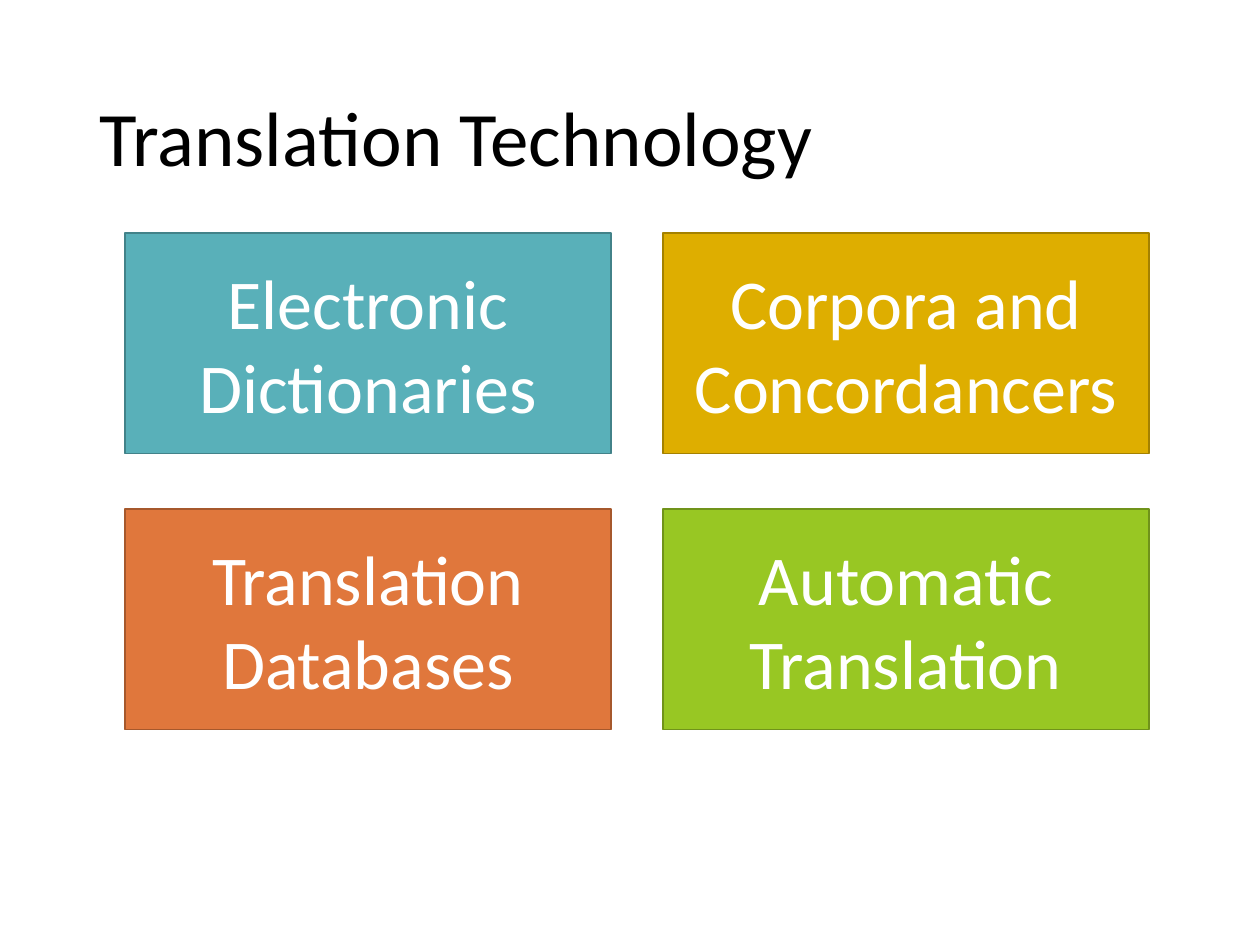
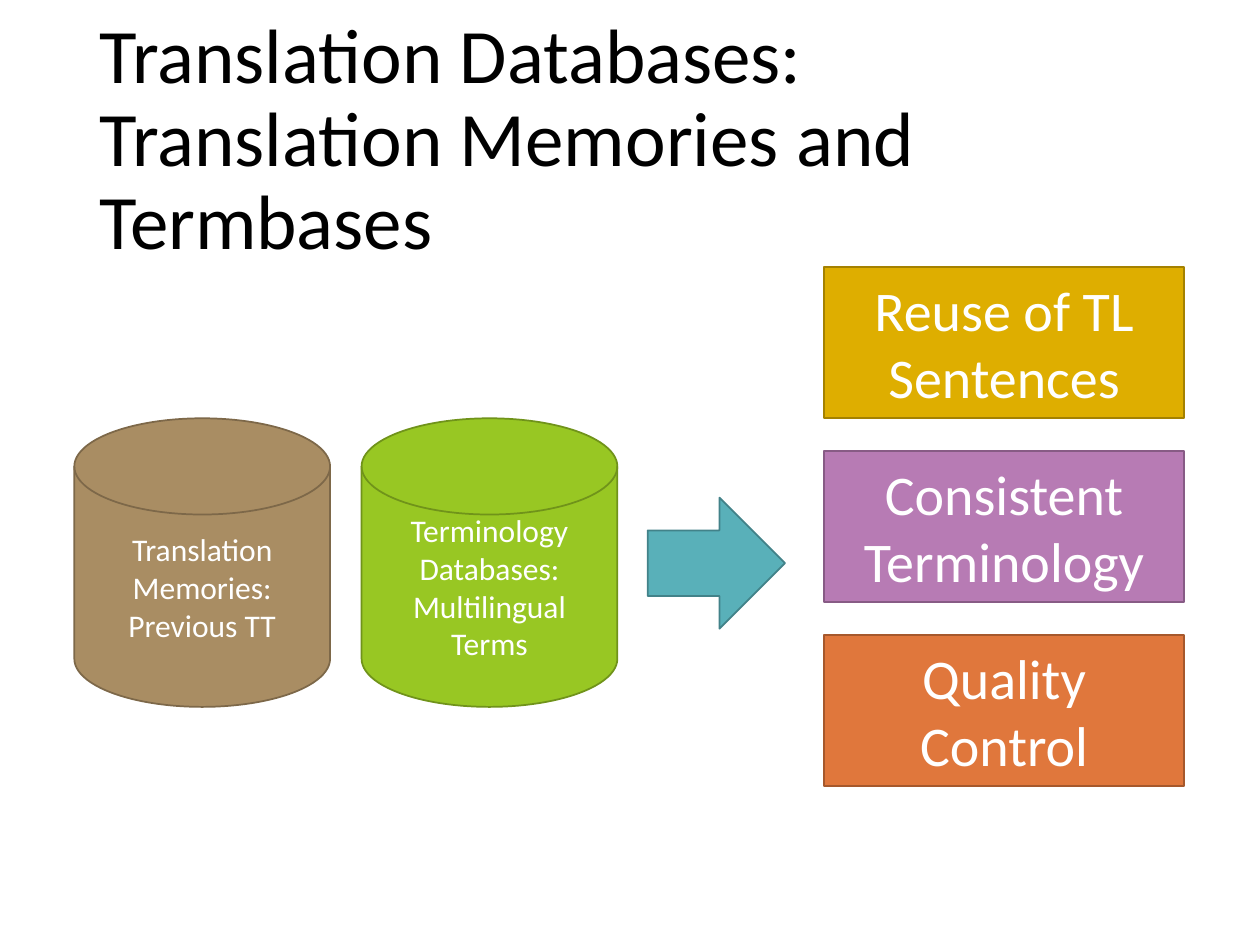
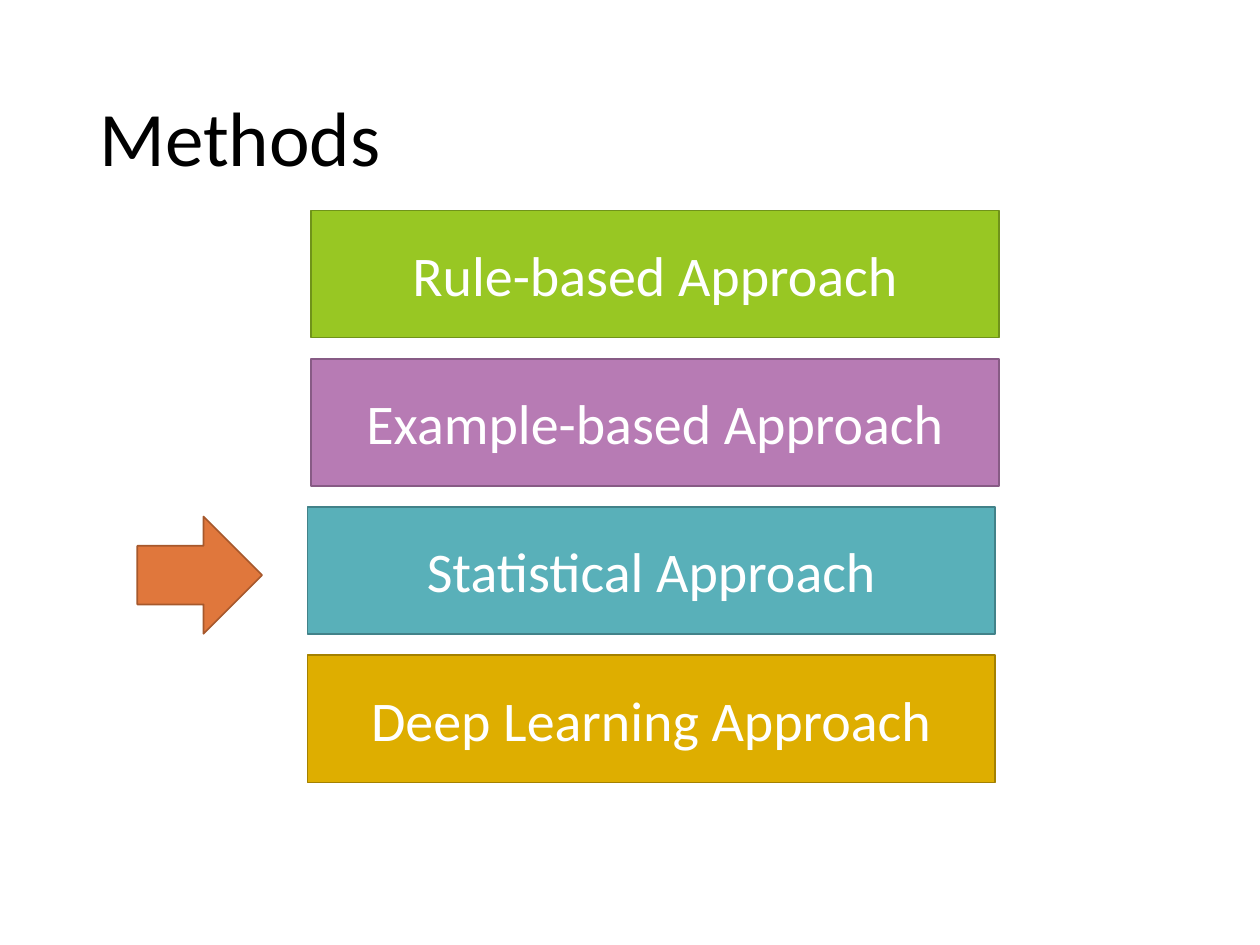
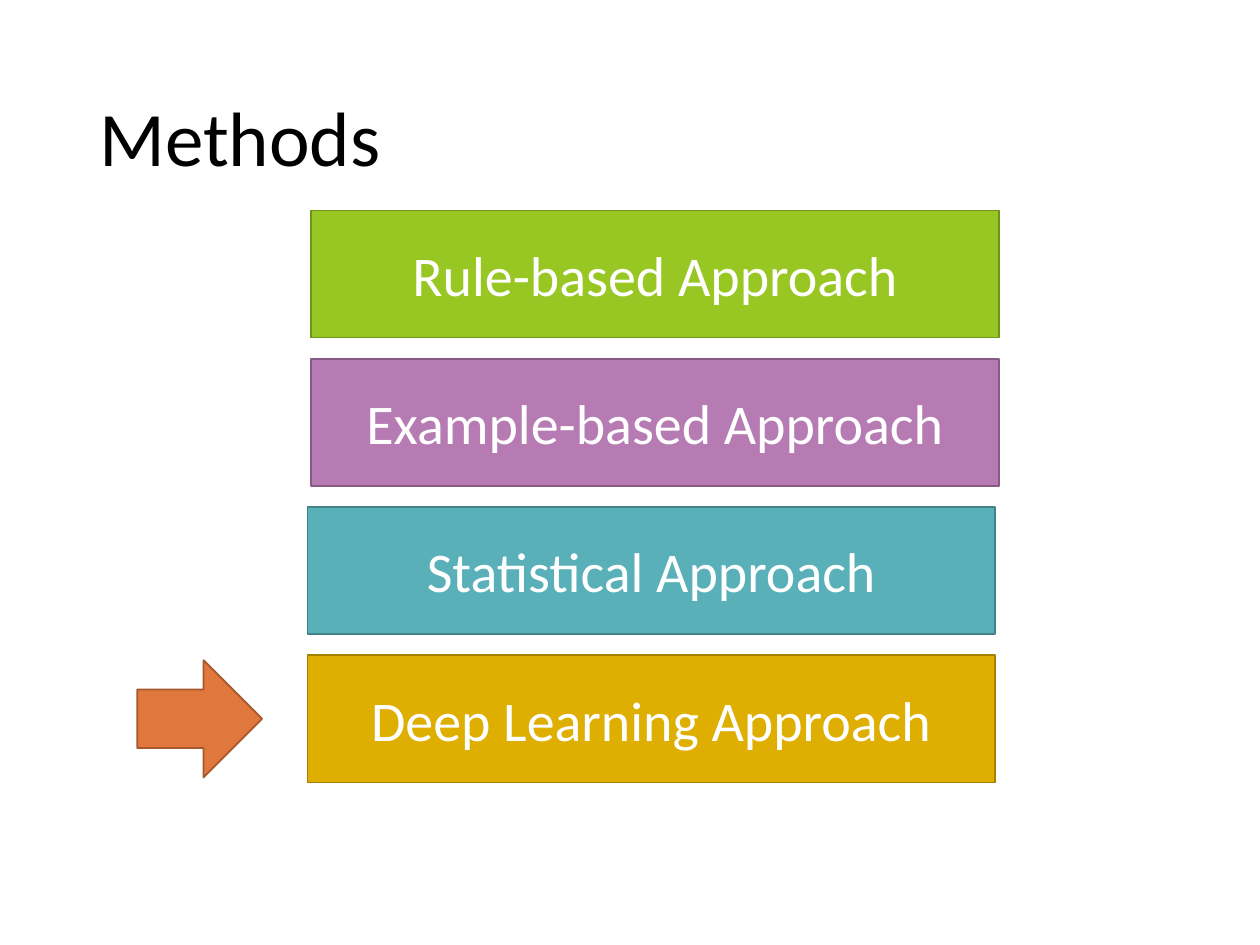
from dataclasses import dataclass
from pptx import Presentation
from pptx.dml.color import RGBColor
from pptx.enum.shapes import MSO_SHAPE as Preset
from pptx.enum.text import MSO_ANCHOR as Anchor, PP_ALIGN as Align
from pptx.util import Inches, Pt


@dataclass(frozen=True)
class Theme:
    font = "Calibri"
    black = "000000"
    white = "FFFFFF"
    teal = ("59B0B9", "428289")
    gold = ("DEAE00", "A48100")
    orange = ("E0773C", "A6582C")
    green = ("98C723", "70931A")
    purple = ("B77BB4", "875B85")
    tan = ("A98D63", "7D6849")
    title_size = 44
    tile_size = 40
    bar_size = 32
    disk_size = 18
    outline = 1


@dataclass(frozen=True)
class Box:
    left: float
    top: float
    width: float
    height: float

    def inside(self, left, top, width, height):
        return Box(self.left + left, self.top + top, width, height)

    def lengths(self):
        return [Inches(value) for value in (self.left, self.top, self.width, self.height)]


THEME = Theme()
TITLE_BOX = Box(0.69, 0.4, 8.62, 1.45)


def write_text(shape, text, size, color, align):
    frame = shape.text_frame
    frame.word_wrap = True
    frame.vertical_anchor = Anchor.MIDDLE
    frame.text = text
    for paragraph in frame.paragraphs:
        paragraph.alignment = align
        for run in paragraph.runs:
            run.font.name = THEME.font
            run.font.size = Pt(size)
            run.font.color.rgb = RGBColor.from_string(color)


def add_block(slide, preset, box, colors, text="", size=THEME.bar_size):
    shape = slide.shapes.add_shape(preset, *box.lengths())
    fill, line = colors
    shape.shadow.inherit = False
    shape.fill.solid()
    shape.fill.fore_color.rgb = RGBColor.from_string(fill)
    shape.line.color.rgb = RGBColor.from_string(line)
    shape.line.width = Pt(THEME.outline)
    if text:
        write_text(shape, text, size, THEME.white, Align.CENTER)


def add_titled_slide(presentation, title):
    slide = presentation.slides.add_slide(presentation.slide_layouts[6])
    title_shape = slide.shapes.add_textbox(*TITLE_BOX.lengths())
    write_text(title_shape, title, THEME.title_size, THEME.black, Align.LEFT)
    title_shape.text_frame.paragraphs[0].line_spacing = 0.9
    return slide


def add_tile_grid(slide, box, tiles):
    width, height = 3.86, 1.75
    for index, (text, colors) in enumerate(tiles):
        row, column = divmod(index, 2)
        tile = box.inside(column * (box.width - width), row * (box.height - height), width, height)
        add_block(slide, Preset.RECTANGLE, tile, colors, text, THEME.tile_size)


def add_bar_stack(slide, box, bar_height, bars):
    step = (box.height - bar_height) / (len(bars) - 1)
    for index, (text, colors, shift) in enumerate(bars):
        bar = box.inside(shift, index * step, box.width, bar_height)
        add_block(slide, Preset.RECTANGLE, bar, colors, text)


def add_disk_pair(slide, box, disks):
    width = 2.03
    for index, (text, colors) in enumerate(disks):
        disk = box.inside(index * (box.width - width), 0, width, box.height)
        add_block(slide, Preset.FLOWCHART_MAGNETIC_DISK, disk, colors, text, THEME.disk_size)


def build_technology_slide(presentation):
    slide = add_titled_slide(presentation, "Translation Technology")
    add_tile_grid(slide, Box(0.99, 1.85, 8.13, 3.94), [
        ("Electronic Dictionaries", THEME.teal),
        ("Corpora and Concordancers", THEME.gold),
        ("Translation Databases", THEME.orange),
        ("Automatic Translation", THEME.green),
    ])


def build_databases_slide(presentation):
    slide = add_titled_slide(
        presentation, "Translation Databases: Translation Memories and Termbases")
    add_disk_pair(slide, Box(0.59, 3.32, 4.31, 2.29), [
        ("Translation Memories: Previous TT", THEME.tan),
        ("Terminology Databases:\nMultilingual Terms", THEME.green),
    ])
    add_bar_stack(slide, Box(6.54, 2.12, 2.86, 4.12), 1.2, [
        ("Reuse of TL Sentences", THEME.gold, 0),
        ("Consistent Terminology", THEME.purple, 0),
        ("Quality Control", THEME.orange, 0),
    ])
    add_block(slide, Preset.RIGHT_ARROW, Box(5.14, 3.95, 1.09, 1.04), THEME.teal)


def build_methods_slide(presentation, arrow_top):
    slide = add_titled_slide(presentation, "Methods")
    add_bar_stack(slide, Box(2.44, 1.67, 5.46, 4.54), 1.01, [
        ("Rule-based Approach", THEME.green, 0.03),
        ("Example-based Approach", THEME.purple, 0.03),
        ("Statistical Approach", THEME.teal, 0),
        ("Deep Learning Approach", THEME.gold, 0),
    ])
    add_block(slide, Preset.RIGHT_ARROW, Box(1.09, arrow_top, 0.99, 0.93), THEME.orange)


def main():
    presentation = Presentation()
    presentation.slide_width = Inches(10)
    presentation.slide_height = Inches(7.5)
    build_technology_slide(presentation)
    build_databases_slide(presentation)
    for arrow_top in (4.1, 5.24):
        build_methods_slide(presentation, arrow_top)
    presentation.save("out.pptx")


if __name__ == "__main__":
    main()
